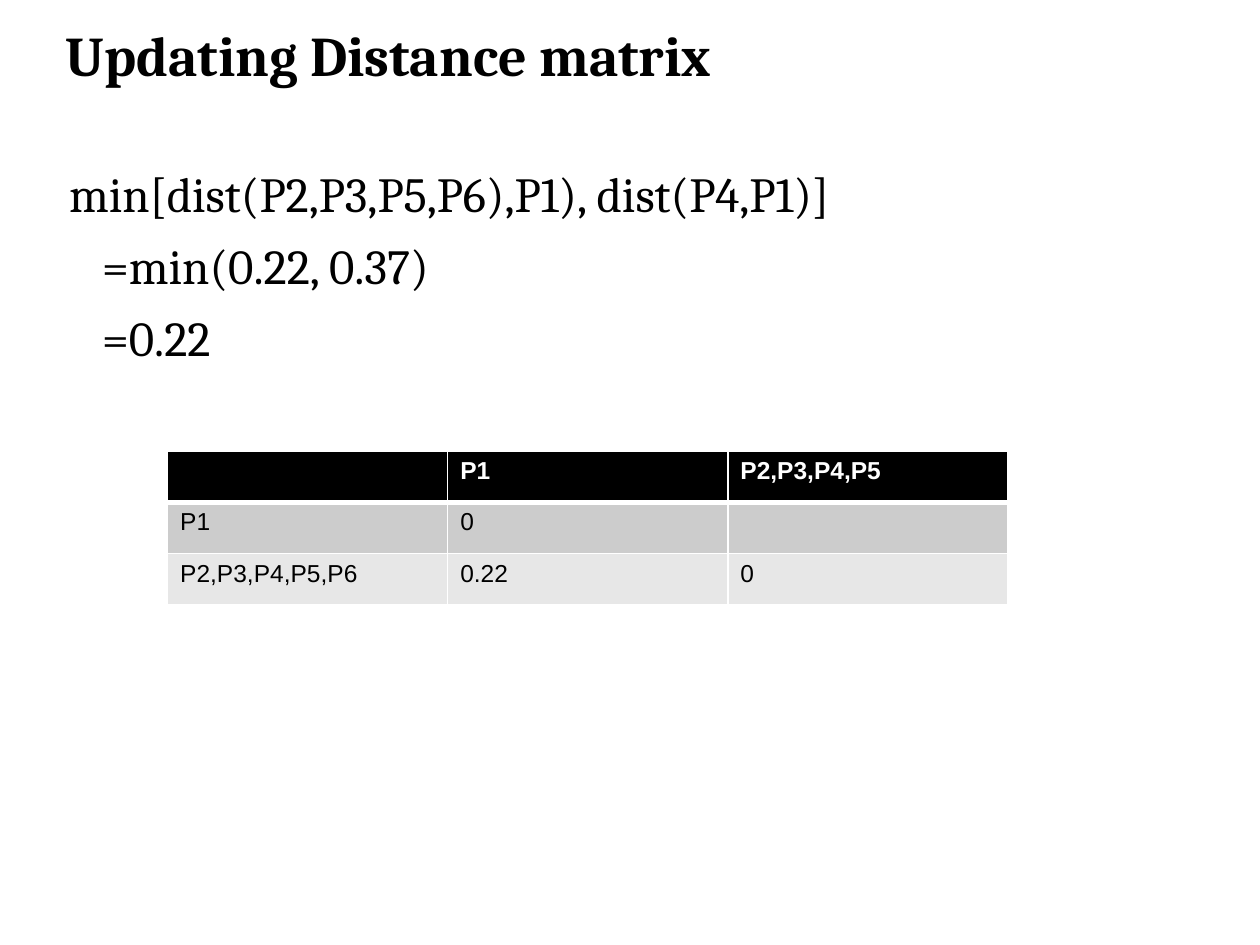
from lxml import etree
from pptx import Presentation
from pptx.dml.color import RGBColor
from pptx.enum.text import MSO_ANCHOR, MSO_AUTO_SIZE, PP_ALIGN
from pptx.oxml.ns import qn
from pptx.util import Inches, Pt

LEFT, BOTTOM, NO_FIT = PP_ALIGN.LEFT, MSO_ANCHOR.BOTTOM, MSO_AUTO_SIZE.NONE
BLACK = RGBColor(0x00, 0x00, 0x00)
WHITE = RGBColor(0xFF, 0xFF, 0xFF)
DARK_GRAY = RGBColor(0xCC, 0xCC, 0xCC)
LIGHT_GRAY = RGBColor(0xE7, 0xE7, 0xE7)

# Content
TITLE = "Updating Distance matrix"
STEPS = [  # text, left indent in inches
    ("min[dist(P2,P3,P5,P6),P1), dist(P4,P1)]", 0),
    ("=min(0.22, 0.37)", 0.26),
    ("=0.22", 0.26),
]
DISTANCES = [
    ["", "P1", "P2,P3,P4,P5"],
    ["P1", "0", ""],
    ["P2,P3,P4,P5,P6", "0.22", "0"],
]
ROW_FILLS = [BLACK, DARK_GRAY, LIGHT_GRAY]


def style_font(font, name, size, color, bold=False):
    font.name, font.size, font.bold = name, Pt(size), bold
    font.color.rgb = color


def add_border(cell, side, width):
    line = etree.SubElement(cell._tc.get_or_add_tcPr(), qn(f"a:ln{side}"), w=str(Pt(width)))
    fill = etree.SubElement(line, qn("a:solidFill"))
    etree.SubElement(fill, qn("a:srgbClr"), val=str(WHITE))


presentation = Presentation()
presentation.slide_width, presentation.slide_height = Inches(10), Inches(7.5)
slide = presentation.slides.add_slide(presentation.slide_layouts[5])

# Title
title = slide.shapes.title
title.left, title.top = Inches(0.42), Inches(0.17)
title.width, title.height = Inches(9.06), Inches(0.58)
title.text_frame.text = TITLE
title.text_frame.auto_size = NO_FIT
title.text_frame.vertical_anchor = BOTTOM
paragraph = title.text_frame.paragraphs[0]
paragraph.alignment = LEFT
paragraph.line_spacing = Pt(36)
style_font(paragraph.runs[0].font, "Cambria", 32, BLACK, bold=True)

# Calculation steps
steps_box = slide.shapes.add_textbox(Inches(0.45), Inches(1.25), Inches(9.1), Inches(5.67))
text_frame = steps_box.text_frame
text_frame.word_wrap = True
text_frame.text = "\n".join(text for text, _ in STEPS)
for index, (paragraph, (_, indent)) in enumerate(zip(text_frame.paragraphs, STEPS)):
    paragraph._p.get_or_add_pPr().set("marL", str(Inches(indent)))
    paragraph.space_before = Pt(3.5 if index else 0)
    paragraph.space_after = Pt(4)
    style_font(paragraph.runs[0].font, "Cambria", 28, BLACK)

# Distance table
table = slide.shapes.add_table(
    len(DISTANCES), len(DISTANCES[0]), Inches(1.33), Inches(3.58), Inches(6.67), Inches(1.22)
).table
for row_index, (row, fill_color) in enumerate(zip(DISTANCES, ROW_FILLS)):
    is_header = row_index == 0
    for column_index, text in enumerate(row):
        cell = table.cell(row_index, column_index)
        cell.text = text
        style_font(cell.text_frame.paragraphs[0].font, "Arial", 14,
                   WHITE if is_header else BLACK, bold=is_header)
        for run in cell.text_frame.paragraphs[0].runs:
            style_font(run.font, "Arial", 14, WHITE if is_header else BLACK, bold=is_header)
        for side in "LRTB":
            at_header_rule = (row_index, side) in [(0, "B"), (1, "T")]
            add_border(cell, side, 3 if at_header_rule else 1)
        cell.fill.solid()
        cell.fill.fore_color.rgb = fill_color

presentation.save("out.pptx")
